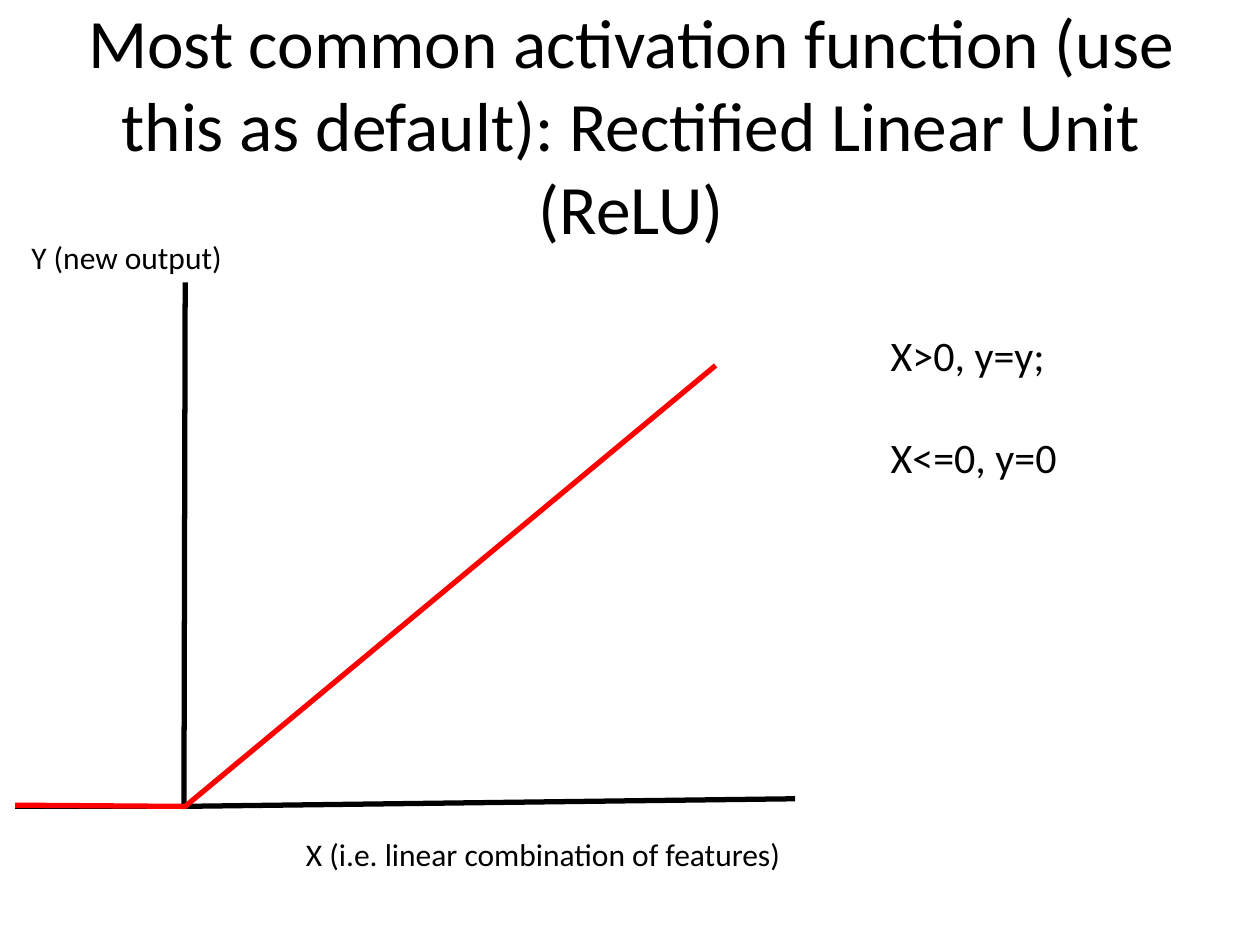
from typing import NamedTuple

from lxml.etree import SubElement
from pptx import Presentation
from pptx.dml.color import RGBColor
from pptx.enum.shapes import MSO_CONNECTOR
from pptx.enum.text import MSO_ANCHOR, MSO_AUTO_SIZE, PP_ALIGN
from pptx.oxml.ns import qn
from pptx.util import Emu, Inches, Pt

COLORS = {"ink": "000000", "relu": "FF0000", "paper": "FFFFFF"}
FONT = "Calibri"
LINE_WIDTH = 3
WIDTH, HEIGHT = Inches(10), Inches(7.5)


class Point(NamedTuple):
    """A place in percent of the slide's width and height."""
    x: float
    y: float

    def emu(self) -> tuple[Emu, Emu]:
        return Emu(round(WIDTH * self.x / 100)), Emu(round(HEIGHT * self.y / 100))


class Label(NamedTuple):
    lines: list[str]
    at: Point
    extent: Point
    size: float
    gap: float = 0


class Polyline(NamedTuple):
    points: list[Point]
    color: str


LABELS = [
    Label(["X (i.e. linear combination of features)"],
          Point(23.3, 87.73), Point(40.1, 5.33), 18),
    Label(["X>0, y=y;", "X<=0, y=0"],
          Point(69.7, 34.27), Point(15.3, 17.47), 24, gap=29.3),
    Label(["Y (new output)"], Point(1.5, 24.53), Point(17.3, 5.33), 18),
]
ORIGIN = Point(14.6, 85.33)
AXES = Polyline([Point(14.7, 29.87), ORIGIN, Point(63.1, 84.53)], "ink")
NEGATIVE_AXIS = Polyline([Point(1.2, 85.33), ORIGIN], "ink")
RELU = Polyline([Point(1.2, 85.2), Point(14.7, 85.33), Point(56.8, 38.67)], "relu")


def write(tf, lines: list[str], *, size: float, color: str = "ink",
          align=PP_ALIGN.LEFT, gap: float = 0) -> None:
    for i, text in enumerate(lines):
        p = tf.add_paragraph() if i else tf.paragraphs[0]
        p.alignment = align
        p.space_before = Pt(gap if i else 0)
        r = p.add_run()
        r.text = text
        r.font.name = FONT
        r.font.size = Pt(size)
        r.font.color.rgb = RGBColor.from_string(COLORS[color])


def set_title(s, text: str) -> None:
    sp = s.shapes.title
    sp.left, sp.top = Point(5.1, 4.8).emu()
    sp.width, sp.height = Point(90, 16.67).emu()
    tf = sp.text_frame
    tf.word_wrap = True
    tf.auto_size = MSO_AUTO_SIZE.NONE
    tf.vertical_anchor = MSO_ANCHOR.MIDDLE
    write(tf, [text], size=39.6, align=PP_ALIGN.CENTER)


def add_label(s, label: Label) -> None:
    tf = s.shapes.add_textbox(*label.at.emu(), *label.extent.emu()).text_frame
    tf.word_wrap = False
    tf.auto_size = MSO_AUTO_SIZE.SHAPE_TO_FIT_TEXT
    write(tf, label.lines, size=label.size, gap=label.gap)


def style_line(sp, color: str) -> None:
    sp.line.color.rgb = RGBColor.from_string(COLORS[color])
    sp.line.width = Pt(LINE_WIDTH)


def add_polyline(s, polyline: Polyline) -> None:
    start, *rest = [point.emu() for point in polyline.points]
    builder = s.shapes.build_freeform(*start)
    builder.add_line_segments(rest, close=False)
    sp = builder.convert_to_shape()
    sp.fill.background()
    sp.shadow.inherit = False
    style_line(sp, polyline.color)


def add_segment(s, segment: Polyline) -> None:
    start, end = [point.emu() for point in segment.points]
    sp = s.shapes.add_connector(MSO_CONNECTOR.STRAIGHT, *start, *end)
    style_line(sp, segment.color)
    SubElement(sp._element.spPr, qn("a:effectLst"))


def main() -> None:
    prs = Presentation()
    prs.slide_width, prs.slide_height = WIDTH, HEIGHT
    s = prs.slides.add_slide(prs.slide_layouts[5])
    s.background.fill.solid()
    s.background.fill.fore_color.rgb = RGBColor.from_string(COLORS["paper"])
    set_title(s, "Most common activation function (use this as default): "
                 "Rectified Linear Unit (ReLU)")
    add_polyline(s, AXES)
    add_segment(s, NEGATIVE_AXIS)
    add_polyline(s, RELU)
    for label in LABELS:
        add_label(s, label)
    prs.save("out.pptx")


if __name__ == "__main__":
    main()
